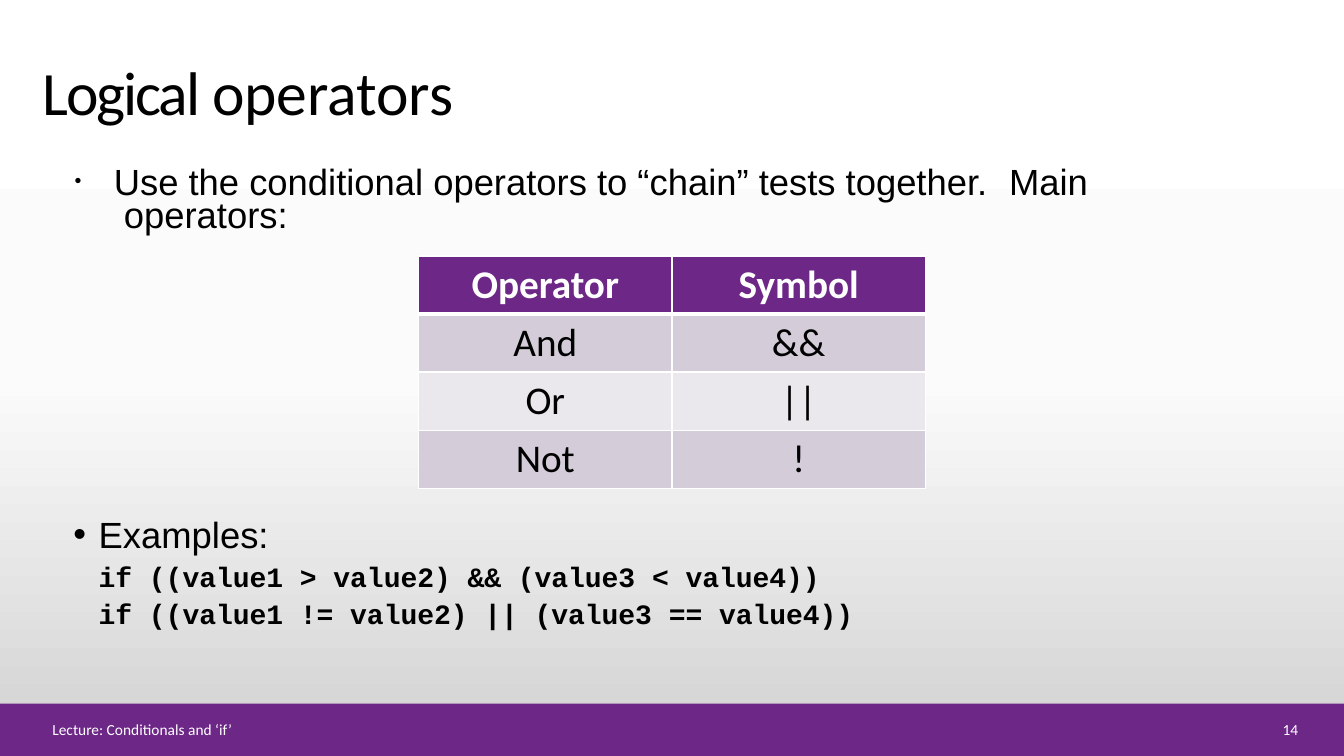
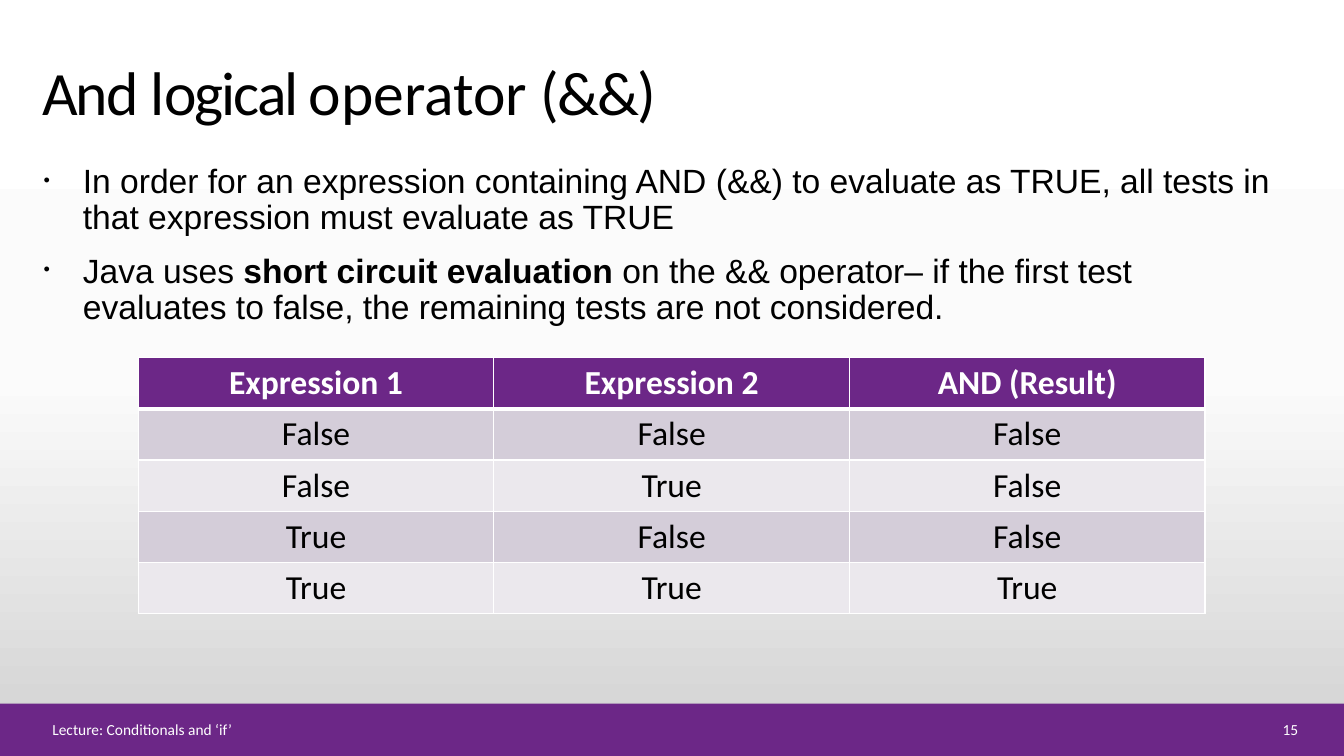
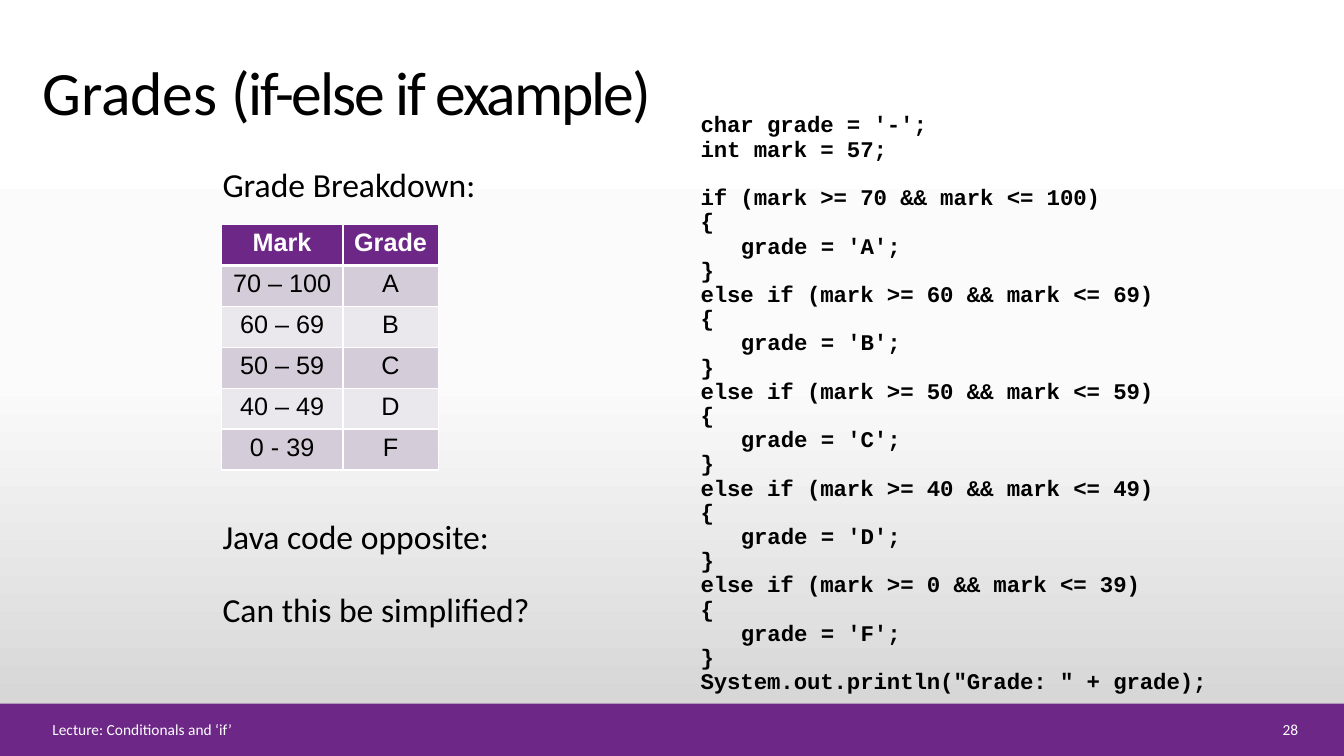
from copy import deepcopy

from lxml import etree
from pptx import Presentation
from pptx.dml.color import RGBColor
from pptx.enum.shapes import MSO_SHAPE
from pptx.enum.text import MSO_ANCHOR, MSO_AUTO_SIZE, PP_ALIGN
from pptx.oxml.ns import qn
from pptx.util import Pt

RECT = MSO_SHAPE.RECTANGLE
MIDDLE, BOTTOM = MSO_ANCHOR.MIDDLE, MSO_ANCHOR.BOTTOM
LEFT, CENTER, RIGHT = PP_ALIGN.LEFT, PP_ALIGN.CENTER, PP_ALIGN.RIGHT
FIXED = MSO_AUTO_SIZE.NONE
TWO_LISTS, ONE_LIST, BARE = 3, 1, 5

WIDE, HIGH = 960, 540
INK, WHITE, PURPLE = "000000", "FFFFFF", "6C2787"
STRIPES = "D4CDD9", "EBE8ED"
SKY = (0, "FFFFFF"), (0.5, "FBFBFB"), (1, "D1D1D1")
SANS, HEAD, MONO = "Arial", "Calibri", "Courier New"
SNUG, TIGHT = -0.05, -1.5
BAND = 0, 502.6, WIDE, 37.4
TITLE = 30.2, 36.7, 749, 54.7
FOOTER = "Lecture: Conditionals and ‘if’"

# Titles are (text, letter spacing) runs; list items are (text, bold) runs.
LOGIC = [("Logical ", TIGHT), ("operators", SNUG)]
CHAIN = [("Use the conditional operators to “chain” tests together.\tMain\n"
          " operators:", False)]
TESTS = ("if ((value1 > value2) && (value3 < value4))\n"
         "if ((value1 != value2) || (value3 == value4))")
SYMBOLS = [("Operator", "Symbol"), ("And", "&&"), ("Or", "||"), ("Not", "!")]

AND = [("And ", TIGHT), ("l", SNUG), ("ogical o", TIGHT),
       ("perator ", SNUG), ("(&&)", TIGHT)]
RULES = [
    [("In order for an expression containing AND (&&) to evaluate as TRUE, "
      "all tests in that expression must evaluate as TRUE", False)],
    [("Java uses ", False), ("short circuit evaluation ", True),
     ("on the && operator– if the first test\n"
      "evaluates to false, the remaining tests are not considered.", False)],
]
TRUTH = [("Expression 1", "Expression 2", "AND (Result)")] + [
    (str(a), str(b), str(a and b))
    for a in (False, True) for b in (False, True)]

GRADING = [("Grades ", SNUG), ("(if-else if example)", TIGHT)]
GRADES = [(70, 100, "A"), (60, 69, "B"), (50, 59, "C"), (40, 49, "D"),
          (0, 39, "F")]
NOTES = [((159, 116.6, 194, 30), ["Grade Breakdown:"]),
         ((159, 368, 233, 84), ["Java code opposite:",
                                "Can this be simplified?"])]
START = [((500.4, 80, 166, 21), ["char grade = '-';"]),
         ((500.4, 97.3, 137, 21), ["int mark = 57;"])]
CHOICE = 500.4, 132, 367, 367


def rgb(code):
    return RGBColor.from_string(code)


def points(box):
    return [Pt(n) for n in box]


def frame(shape, box, top=0.8):
    """Place a text shape and clear its insets, except the top one."""
    shape.left, shape.top, shape.width, shape.height = points(box)
    text = shape.text_frame
    text.word_wrap, text.auto_size = True, FIXED
    text.margin_left = text.margin_right = text.margin_bottom = 0
    text.margin_top = Pt(top)
    return text


def textbox(slide, box):
    return frame(slide.shapes.add_textbox(*points(box)), box)


def para(text, left=0, hang=0, lead=1.0, before=0, align=LEFT, dot=None,
         tab=None):
    """Start a paragraph; dot is the bullet's size in percent."""
    par = text.paragraphs[0]
    if par.runs:
        par = text.add_paragraph()
    else:
        before = 0
    props = par._p.get_or_add_pPr()
    props.set("marL", str(Pt(left)))
    props.set("indent", str(Pt(-hang)))
    if dot:
        etree.SubElement(props, qn("a:buSzPct"), val=str(dot * 1000))
        etree.SubElement(props, qn("a:buChar"), char="•")
    else:
        etree.SubElement(props, qn("a:buNone"))
    if tab:
        tabs = etree.SubElement(props, qn("a:tabLst"))
        etree.SubElement(tabs, qn("a:tab"), pos=str(Pt(tab)), algn="l")
    par.line_spacing = lead
    par.space_before, par.space_after = Pt(before), Pt(0)
    par.alignment = align
    return par


def write(par, words, face, size, hue=INK, bold=False, gap=0):
    """Add a run, with line breaks at newlines; gap is letter spacing."""
    style = None
    for line in words.split("\n"):
        if style is not None:
            par.add_line_break()
            par._p[-1].append(deepcopy(style))
        run = par.add_run()
        run.text = line
        font = run.font
        font.name, font.size, font.bold = face, Pt(size), bold
        font.color.rgb = rgb(hue)
        style = run._r.get_or_add_rPr()
        if gap:
            style.set("spc", str(round(gap * 100)))


def edge(cell, side, width):
    line = etree.SubElement(cell._tc.get_or_add_tcPr(), qn("a:ln" + side),
                            w=str(Pt(width)))
    fill = etree.SubElement(line, qn("a:solidFill"))
    etree.SubElement(fill, qn("a:srgbClr"), val=WHITE)


def grid(slide, rows, left, top, widths, tall, face, size, inset=None):
    """Draw a striped table; inset replaces the default cell margins."""
    table = slide.shapes.add_table(
        len(rows), len(widths),
        *points((left, top, sum(widths), tall * len(rows)))).table
    for col, width in zip(table.columns, widths):
        col.width = Pt(width)
    for i, row in enumerate(rows):
        table.rows[i].height = Pt(tall)
        for j, words in enumerate(row):
            cell = table.cell(i, j)
            if inset is not None:
                cell.margin_left = cell.margin_right = 0
                cell.margin_top, cell.margin_bottom = Pt(inset), 0
            for side, width in (("L", 1), ("R", 1), ("T", 3 if i == 1 else 1),
                                ("B", 1 if i else 3)):
                edge(cell, side, width)
            cell.fill.solid()
            cell.fill.fore_color.rgb = rgb(STRIPES[(i - 1) % 2] if i
                                           else PURPLE)
            write(para(cell.text_frame, align=CENTER), words, face, size,
                  INK if i else WHITE, not i)


def theme(deck, slide):
    """Give the master its background and the purple band."""
    master = deck.slide_master
    fill = master.background.fill
    fill.gradient()
    fill.gradient_angle = 270
    first = fill.gradient_stops[0]._gs
    first.addnext(deepcopy(first))
    for stop, (place, hue) in zip(fill.gradient_stops, SKY):
        stop.position, stop.color.rgb = place, rgb(hue)
    band = slide.shapes.add_shape(RECT, *points(BAND))
    band.shadow.inherit = False
    band.fill.solid()
    band.fill.fore_color.rgb = rgb(PURPLE)
    band.line.fill.background()
    master.shapes._spTree.insert(2, band._element)


def start(deck, layout, heading, number):
    """Add a slide with its title and footer."""
    slide = deck.slides.add_slide(deck.slide_layouts[layout])
    text = frame(slide.shapes.title, TITLE)
    text.vertical_anchor = BOTTOM
    par = para(text)
    for words, gap in heading:
        write(par, words, HEAD, 44, gap=gap)
    for left, width, words, align in ((37.4, 824, FOOTER, LEFT),
                                      (880.6, 46.8, str(number), RIGHT)):
        foot = textbox(slide, (left, 512.6, width, 16.6))
        foot.margin_top, foot.vertical_anchor = 0, MIDDLE
        write(para(foot, align=align), words, HEAD, 11, WHITE)
    return slide


def bullets(text, items, size, **look):
    for runs in items:
        par = para(text, **look)
        for words, bold in runs:
            write(par, words, SANS, size, bold=bold)


def code(slide, box, lines):
    text = textbox(slide, box)
    for line in lines:
        bare = line.lstrip()
        par = para(text, 28.8 if bare != line else 0, lead=Pt(17.3))
        write(par, bare, MONO, 16, bold=True, gap=SNUG)


def branches():
    lines = []
    for i, (low, high, grade) in enumerate(GRADES):
        word = "else if" if i else "if"
        lines += [f"{word} (mark >= {low} && mark <= {high})", "{",
                  f"   grade = '{grade}';", "}"]
    return lines + ['System.out.println("Grade: " + grade);']


def logic(deck):
    slide = start(deck, TWO_LISTS, LOGIC, 14)
    upper, lower = slide.placeholders[1], slide.placeholders[2]
    bullets(frame(upper, (51.8, 111, 726.5, 55.4), 10.4), [CHAIN], 26,
            left=29.5, hang=28, lead=0.74, dot=54, tab=669)
    text = frame(lower, (51.8, 363, 560, 87), 3)
    bullets(text, [[("Examples:", False)]], 26, left=18.7, hang=18, dot=100)
    write(para(text, 18.7, lead=Pt(26.5)), TESTS, MONO, 20, bold=True,
          gap=SNUG)
    grid(slide, SYMBOLS, 299, 182.9, [181] * 2, 40.8, HEAD, 28)
    return slide


def both(deck):
    slide = start(deck, ONE_LIST, AND, 15)
    bullets(frame(slide.placeholders[1], (30.2, 113, 899.3, 121), 4.2),
            RULES, 24, left=29, hang=28, lead=Pt(25.9), before=12.1, dot=54)
    grid(slide, TRUTH, 98.8, 255.6, [254] * 3, 36, HEAD, 24)


def marks(deck):
    slide = start(deck, BARE, GRADING, 28)
    for box, lines in NOTES:
        text = textbox(slide, box)
        for line in lines:
            write(para(text, before=23), line, HEAD, 24)
    for box, lines in START + [(CHOICE, branches())]:
        code(slide, box, lines)
    rows = [("Mark", "Grade")] + [
        (f"{low} {'–' if low else '-'} {high}", grade)
        for low, high, grade in GRADES]
    grid(slide, rows, 158, 160.5, [87, 68], 29.2, SANS, 18, 3.1)


def main():
    deck = Presentation()
    deck.slide_width, deck.slide_height = Pt(WIDE), Pt(HIGH)
    theme(deck, logic(deck))
    both(deck)
    marks(deck)
    deck.save("out.pptx")


if __name__ == "__main__":
    main()
